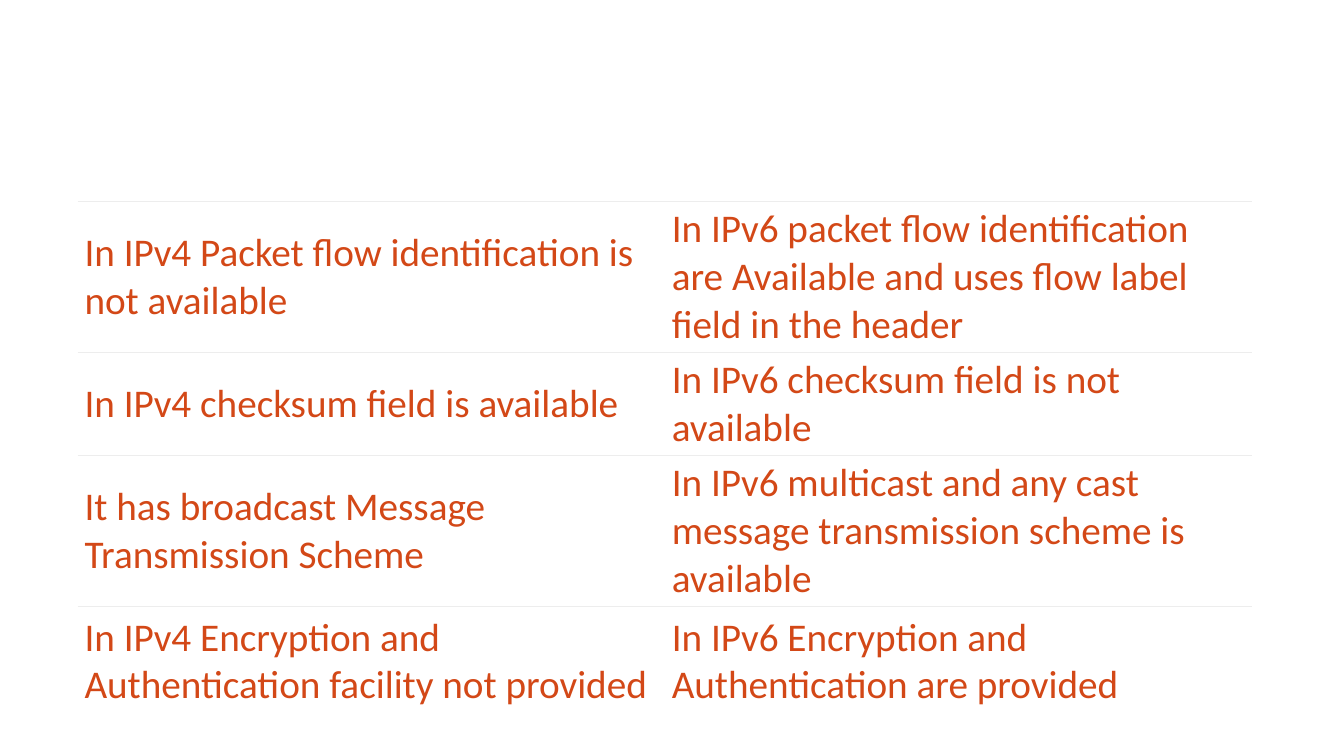
"""Build a slide with a table comparing IPv4 and IPv6."""
from dataclasses import dataclass

from lxml import etree
from pptx import Presentation
from pptx.dml.color import RGBColor
from pptx.enum.text import MSO_ANCHOR
from pptx.oxml.ns import qn
from pptx.slide import Slide
from pptx.table import Table, _Cell
from pptx.util import Pt

MIDDLE = MSO_ANCHOR.MIDDLE
COLORS = {"text": "D34817", "rule": "EDEDED", "cell": "FFFFFF"}
TABLE_LEFT, TABLE_TOP, TABLE_HEIGHT = Pt(55.5), Pt(144), Pt(366)
COLUMN_WIDTH = Pt(419.5)
RULE_WIDTH = Pt(0.5)
CELL_FORMAT = {
    "vertical_anchor": MIDDLE,
    "margin_left": Pt(4.9),
    "margin_right": Pt(4.9),
    "margin_top": Pt(2.45),
    "margin_bottom": Pt(2.45),
}
FONT_FORMAT = {"name": "Calibri", "size": Pt(28), "bold": False}
TABLE_FORMAT = {"first_row": False, "horz_banding": False}


@dataclass(frozen=True)
class Comparison:
    ipv4: str
    ipv6: str
    height: float


COMPARISONS = [
    Comparison(
        "In IPv4 Packet flow identification is not available",
        "In IPv6 packet flow identification are Available and uses flow label field in the header",
        108,
    ),
    Comparison(
        "In IPv4 checksum field is available",
        "In IPv6 checksum field is not available",
        49,
    ),
    Comparison(
        "It has broadcast Message Transmission Scheme",
        "In IPv6 multicast and any cast message transmission scheme is available",
        108,
    ),
    Comparison(
        "In IPv4 Encryption and Authentication facility not provided",
        "In IPv6 Encryption and Authentication are provided",
        78.5,
    ),
]


def apply_format(target: object, values: dict[str, object]) -> None:
    for name, value in values.items():
        setattr(target, name, value)


def set_borders(cell: _Cell, ruled_sides: str) -> None:
    properties = cell._tc.get_or_add_tcPr()
    for position, side in enumerate("LRTB"):
        line = etree.Element(qn(f"a:ln{side}"), w=str(RULE_WIDTH))
        if side in ruled_sides:
            fill = etree.SubElement(line, qn("a:solidFill"))
            etree.SubElement(fill, qn("a:srgbClr"), val=COLORS["rule"])
        else:
            etree.SubElement(line, qn("a:noFill"))
        properties.insert(position, line)


def fill_cell(cell: _Cell, text: str, ruled_sides: str) -> None:
    apply_format(cell, CELL_FORMAT)
    cell.fill.solid()
    cell.fill.fore_color.rgb = RGBColor.from_string(COLORS["cell"])
    set_borders(cell, ruled_sides)
    span = cell.text_frame.paragraphs[0].add_run()
    span.text = text
    apply_format(span.font, FONT_FORMAT)
    span.font.color.rgb = RGBColor.from_string(COLORS["text"])


def fill_table(table: Table) -> None:
    apply_format(table, TABLE_FORMAT)
    for index, comparison in enumerate(COMPARISONS):
        table.rows[index].height = Pt(comparison.height)
        ruled_sides = "T" if index == len(COMPARISONS) - 1 else "TB"
        for column, text in enumerate((comparison.ipv4, comparison.ipv6)):
            fill_cell(table.cell(index, column), text, ruled_sides)


def add_comparison_table(page: Slide) -> None:
    frame = page.shapes.add_table(
        len(COMPARISONS), 2, TABLE_LEFT, TABLE_TOP, 2 * COLUMN_WIDTH, TABLE_HEIGHT
    )
    fill_table(frame.table)
    frame.height = TABLE_HEIGHT


def main() -> None:
    deck = Presentation()
    deck.slide_width, deck.slide_height = Pt(960), Pt(540)
    page = deck.slides.add_slide(deck.slide_layouts[6])
    add_comparison_table(page)
    deck.save("out.pptx")


if __name__ == "__main__":
    main()
